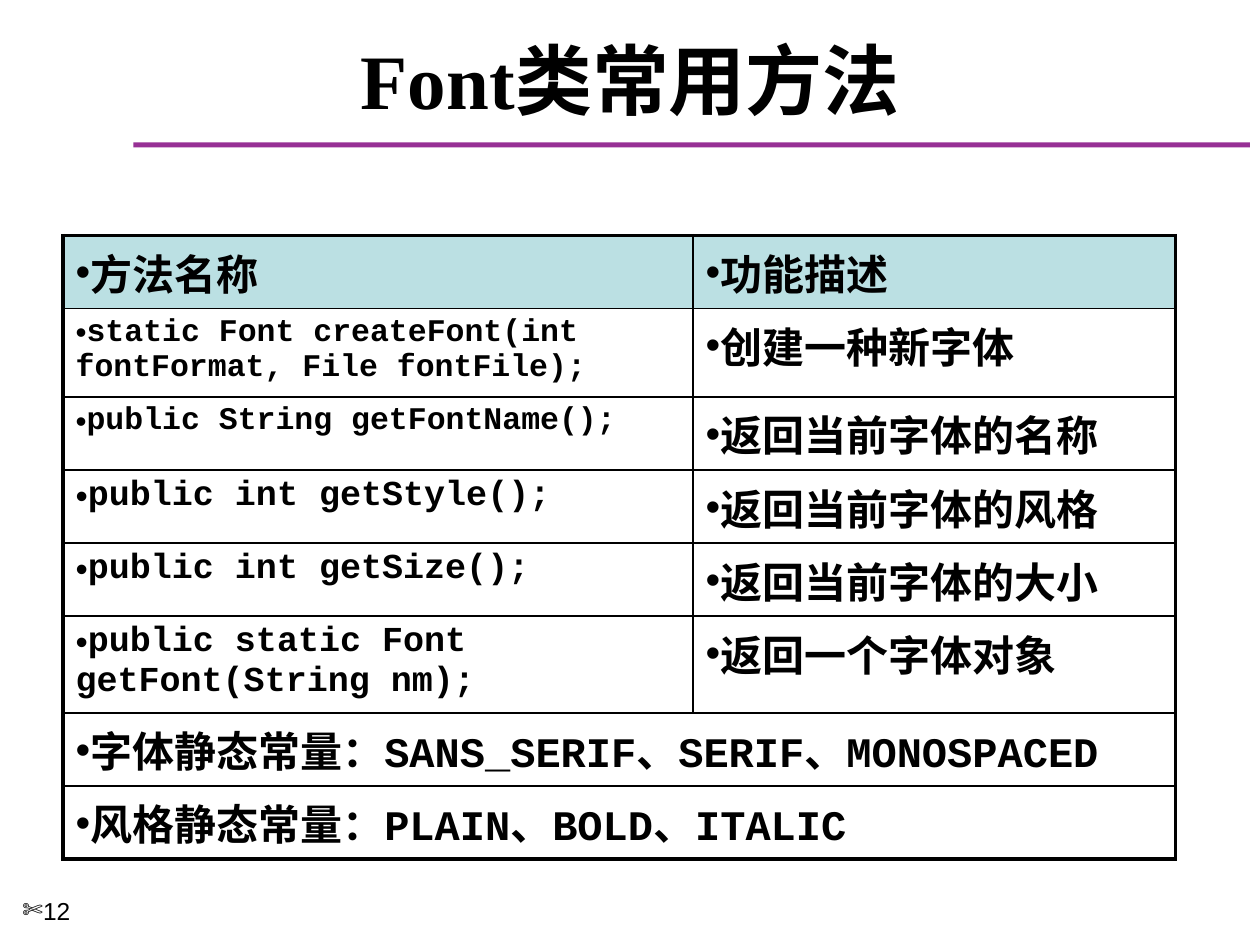
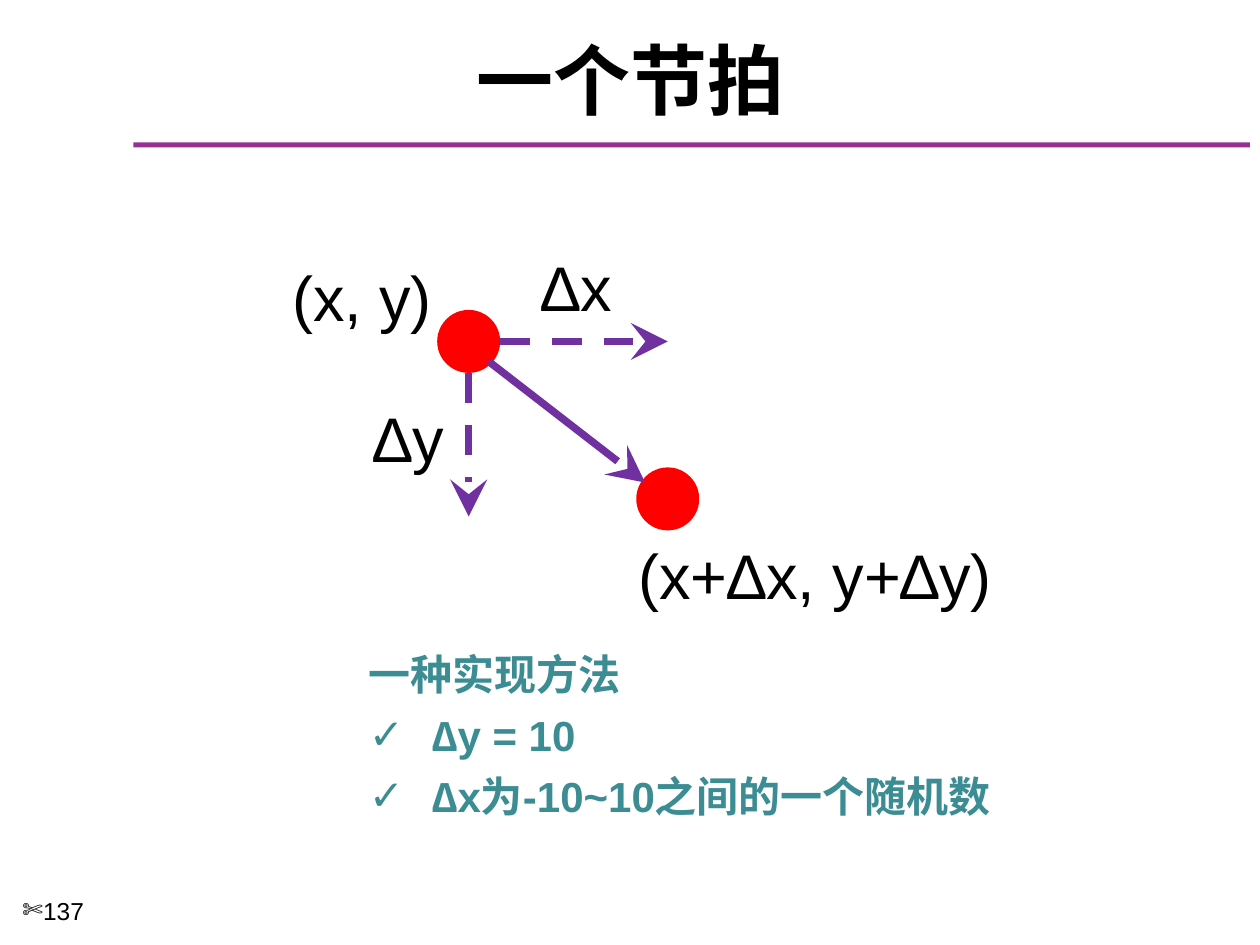
from lxml import etree
from pptx import Presentation
from pptx.dml.color import RGBColor
from pptx.enum.dml import MSO_LINE
from pptx.enum.shapes import MSO_CONNECTOR, MSO_SHAPE
from pptx.enum.text import MSO_ANCHOR, MSO_AUTO_SIZE, PP_ALIGN
from pptx.oxml.ns import qn
from pptx.util import Inches, Pt

RECT, OVAL = MSO_SHAPE.RECTANGLE, MSO_SHAPE.OVAL
STRAIGHT, DASH = MSO_CONNECTOR.STRAIGHT, MSO_LINE.DASH
MIDDLE, CENTER, NO_FIT = MSO_ANCHOR.MIDDLE, PP_ALIGN.CENTER, MSO_AUTO_SIZE.NONE

COLORS = {
    "text": "000000", "rule": "973095", "header": "BBE0E3",
    "ball": "FF0000", "arrow": "7030A0", "note": "3C8C93",
}
CJK, SANS, SERIF, MONO = "Noto Sans CJK SC", "Arial", "Times New Roman", "Courier New"


def rgb(name):
    return RGBColor.from_string(COLORS[name])


def write(p, text, size, latin, asian=CJK, bold=False, color="text", bullet=None):
    """Fill a paragraph with one formatted run and an optional bullet."""
    if bullet:
        pPr = p._p.get_or_add_pPr()
        etree.SubElement(pPr, qn("a:buFont"), typeface=SANS)
        etree.SubElement(pPr, qn("a:buChar"), char=bullet)
    r = p.add_run()
    r.text = text
    r.font.color.rgb = rgb(color)
    for key, value in {"size": Pt(size), "name": latin, "bold": bold}.items():
        setattr(r.font, key, value)
    etree.SubElement(r._r.get_or_add_rPr(), qn("a:ea"), typeface=asian)


prs = Presentation()
prs.slide_width, prs.slide_height = Inches(10), Inches(7.5)

# Title, rule and page number shared by both slides
slides = []
for title, page in (("Font类常用方法", "12"), ("一个节拍", "137")):
    s = prs.slides.add_slide(prs.slide_layouts[5])
    slides.append(s)
    rule = s.shapes.add_shape(RECT, Inches(1.06), Inches(1.13), Inches(8.86), Inches(0.04))
    rule.shadow.inherit = False
    rule.fill.solid()
    rule.fill.fore_color.rgb = rgb("rule")
    rule.line.fill.background()

    head = s.shapes.title
    frame = {"left": 0.17, "top": 0.25, "width": 9.67, "height": 0.75}
    for key, value in frame.items():
        setattr(head, key, Inches(value))
    tf = head.text_frame
    tf.auto_size, tf.vertical_anchor = NO_FIT, MIDDLE
    tf.paragraphs[0].alignment = CENTER
    write(tf.paragraphs[0], title, 44, SERIF, bold=True)

    number = s.shapes.add_textbox(Inches(0.08), Inches(7.06), Inches(1.08), Inches(0.44))
    number.text_frame.word_wrap = True
    write(number.text_frame.paragraphs[0], page, 14, SANS, bullet="✄")

# Slide 1: table of Font methods; (row height, code size, cells)
rows = [
    (0.58, 24, ["方法名称", "功能描述"]),
    (0.67, 18, ["static Font createFont(int fontFormat, File fontFile);", "创建一种新字体"]),
    (0.58, 18, ["public String getFontName();", "返回当前字体的名称"]),
    (0.58, 20, ["public int getStyle();", "返回当前字体的风格"]),
    (0.58, 20, ["public int getSize();", "返回当前字体的大小"]),
    (0.73, 20, ["public static Font getFont(String nm);", "返回一个字体对象"]),
    (0.58, 24, ["字体静态常量：SANS_SERIF、SERIF、MONOSPACED"]),
    (0.58, 24, ["风格静态常量：PLAIN、BOLD、ITALIC"]),
]
THIN, THICK = Pt(1), Pt(2.25)
height = sum(row[0] for row in rows)
table = slides[0].shapes.add_table(len(rows), 2, Inches(0.5), Inches(1.87),
                                   Inches(8.83), Inches(height)).table
table.first_row = table.horz_banding = False
for column, width in zip(table.columns, (5, 3.83)):
    column.width = Inches(width)

for i, (row_height, code_size, texts) in enumerate(rows):
    table.rows[i].height = Inches(row_height)
    merged = len(texts) == 1
    if merged:
        table.cell(i, 0).merge(table.cell(i, 1))
    for j in range(2):
        cell = table.cell(i, j)
        outer = {"lnL": j == 0, "lnR": j == 1 or merged,
                 "lnT": i == 0, "lnB": i == len(rows) - 1}
        tcPr = cell._tc.get_or_add_tcPr()
        for side, is_outer in outer.items():
            ln = etree.SubElement(tcPr, qn("a:" + side), w=str(THICK if is_outer else THIN))
            fill = etree.SubElement(ln, qn("a:solidFill"))
            etree.SubElement(fill, qn("a:srgbClr"), val=COLORS["text"])
        if i == 0:
            cell.fill.solid()
            cell.fill.fore_color.rgb = rgb("header")
        else:
            cell.fill.background()
        if j < len(texts):
            size = code_size if j == 0 else 24
            font = MONO if i and j == 0 else CJK
            write(cell.text_frame.paragraphs[0], texts[j], size, font, bold=True, bullet="•")

# Slide 2: one step of the moving ball
shapes = slides[1].shapes
BALL = 0.5
for x, y in ((3.47, 2.46), (5.05, 3.71)):
    ball = shapes.add_shape(OVAL, Inches(x), Inches(y), Inches(BALL), Inches(BALL))
    ball.shadow.inherit = False
    ball.fill.solid()
    ball.fill.fore_color.rgb = rgb("ball")
    ball.line.fill.background()

for x1, y1, x2, y2, dash in ((3.88, 2.87, 5.12, 3.83, None),
                             (3.97, 2.71, 5.3, 2.71, DASH),
                             (3.72, 2.96, 3.72, 4.1, DASH)):
    arrow = shapes.add_connector(STRAIGHT, *map(Inches, (x1, y1, x2, y2)))
    arrow.line.color.rgb = rgb("arrow")
    arrow.line.width = Pt(4.25)
    if dash:
        arrow.line.dash_style = dash
    etree.SubElement(arrow.line._get_or_add_ln(), qn("a:tailEnd"),
                     type="stealth", w="lg", len="lg")
    etree.SubElement(arrow._element.spPr, qn("a:effectLst"))

for text, x, y, width in (("(x, y)", 2.22, 2, 1.32), ("(x+∆x, y+∆y)", 4.97, 4.21, 3.03),
                          ("∆x", 4.2, 1.92, 0.76), ("∆y", 2.87, 3.12, 0.76)):
    label = shapes.add_textbox(Inches(x), Inches(y), Inches(width), Inches(0.71))
    label.text_frame.word_wrap = False
    write(label.text_frame.paragraphs[0], text, 36, SANS, SANS)

note = shapes.add_textbox(Inches(2.83), Inches(5.1), Inches(5.2), Inches(1.47))
tf = note.text_frame
tf.word_wrap = True
write(tf.paragraphs[0], "一种实现方法", 24, SANS, SANS, True, "note")
for text in ("∆y = 10", "∆x为-10~10之间的一个随机数"):
    p = tf.add_paragraph()
    write(p, text, 24, SANS, SANS, True, "note", "✓")
    p.space_before = Pt(6)
    pPr = p._p.get_or_add_pPr()
    pPr.set("marL", str(Inches(0.5)))
    pPr.set("indent", str(-Inches(0.5)))

prs.save("out.pptx")
